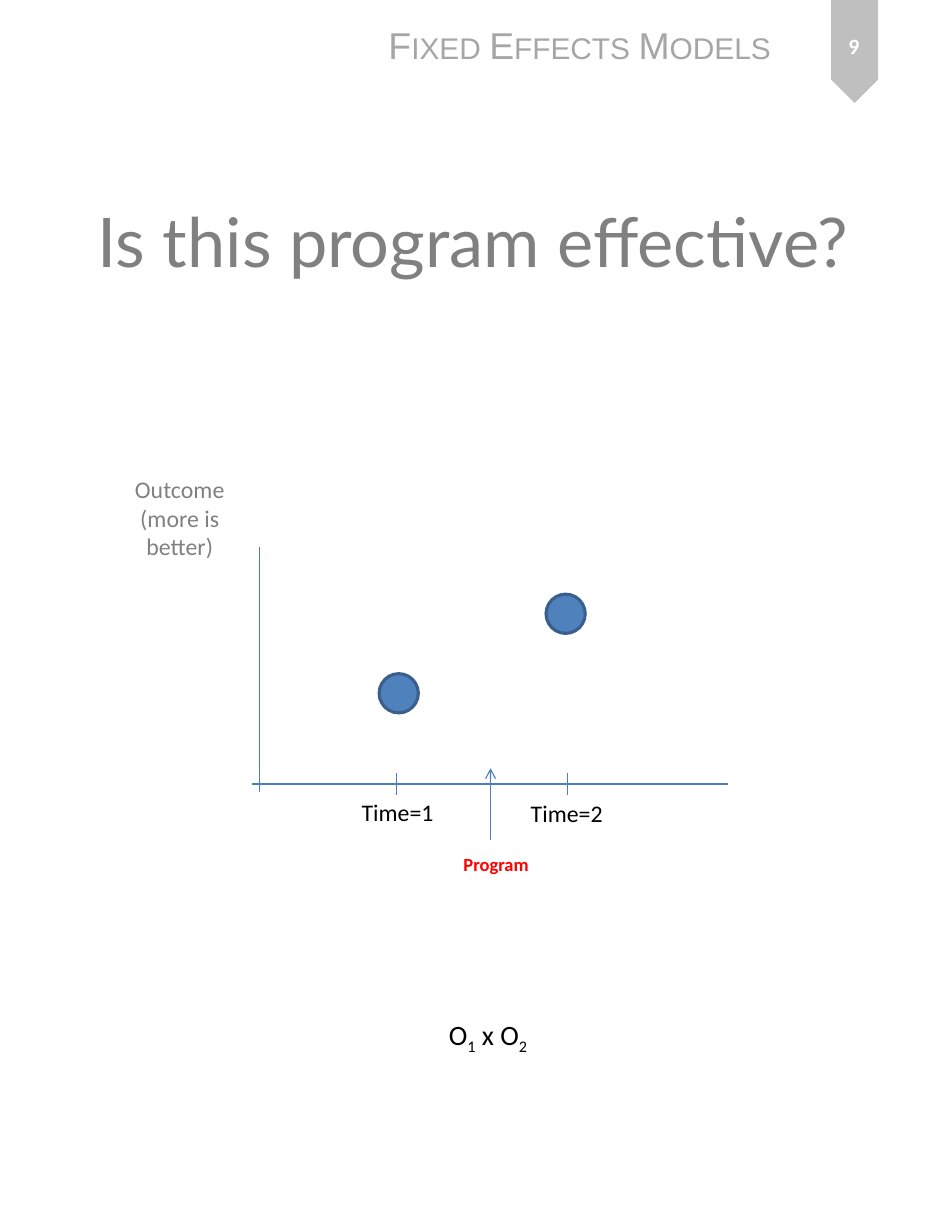
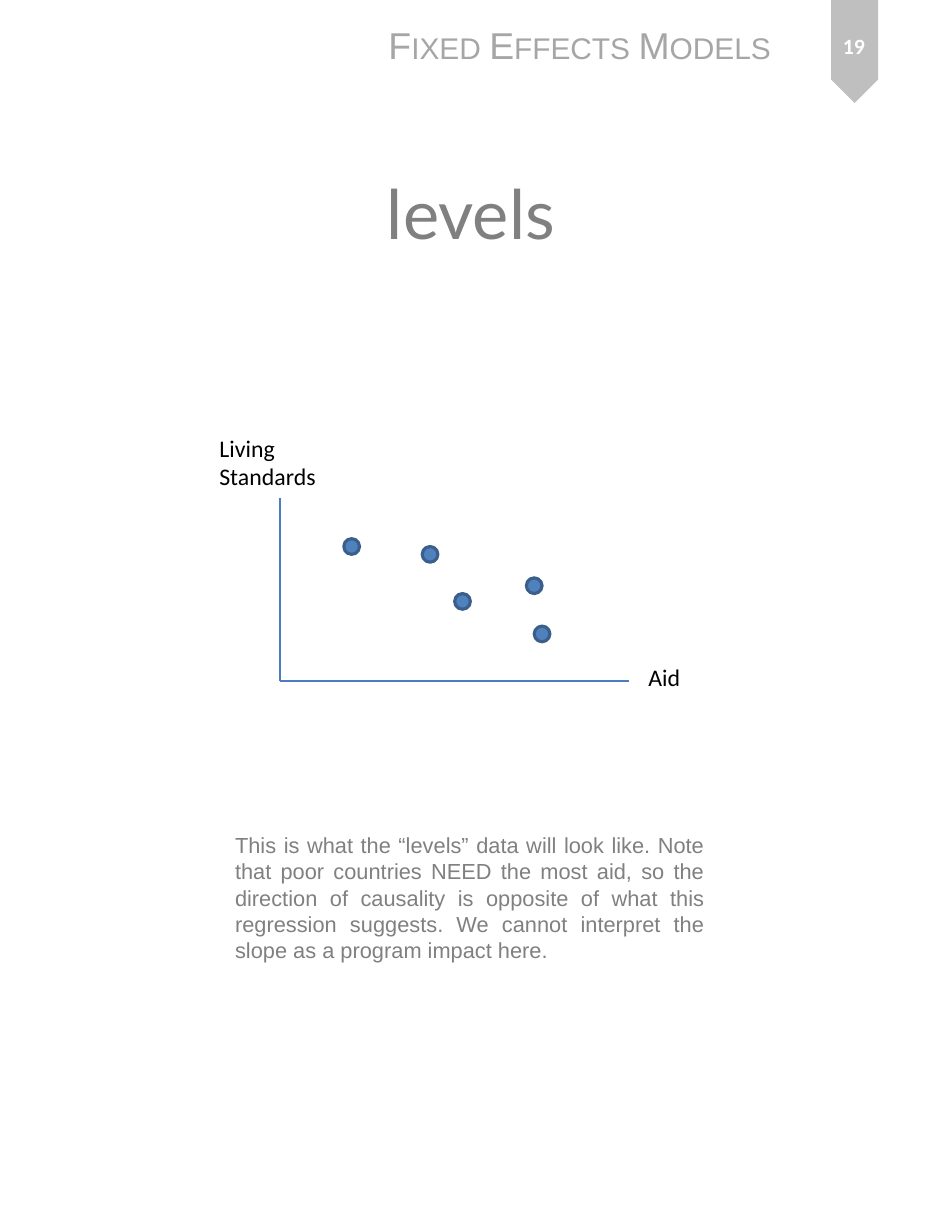
import pptx
import pptx.util
import pptx.dml.color
import pptx.enum.shapes
import pptx.enum.text
import pptx.oxml.ns
import lxml.etree

# Slide grid: one column or row is one inch
COLUMNS, ROWS = 8.5, 11
UNIT = pptx.util.Inches(1)

COLORS = {
    "ribbon": "BFBFBF", "header": "A6A6A6", "gray": "808080",
    "dot": "4F81BD", "dot edge": "3A5F8C", "axis": "4B7EBC",
    "black": "000000", "white": "FFFFFF", "red": "FF0000",
}

# Text styles: font, size, colour, bold
STYLES = {
    "header": ("Arial", 24, "header", False),
    "title": ("Lato", 44, "gray", False),
    "page": ("Calibri", 14, "white", True),
    "label": ("Calibri", 15.3, "black", False),
    "gray label": ("Calibri", 15.3, "gray", False),
    "program": ("Calibri", 11.9, "red", True),
    "design": ("Calibri", 18, "black", False),
    "note": ("Arial", 14, "gray", False),
}

HEADER = "Fixed Effects Models"
TITLE_SIZE = (7.65, 1.83)
LABEL_HEIGHT = 0.36
TICK = 0.1  # half the length of a time tick

# Labels: lines, style, alignment, left, top, width, height
# Lines: start, end, arrowhead; plot parts count from the origin, y upwards
SLIDES = [
    {
        "page": "9",
        "title": "Is this program effective?",
        "title at": (0.4, 1.23),
        "origin": (2.32, 7),
        "lines": [
            ((0, 2.12), (0, -0.07), False),
            ((-0.07, 0), (4.18, 0), False),
            ((1.22, TICK), (1.22, -TICK), False),
            ((2.75, TICK), (2.75, -TICK), False),
            ((2.06, -0.5), (2.06, 0.14), True),
        ],
        "dot size": 0.35,
        "dots": [(1.24, 0.81), (2.73, 1.52)],
        "labels": [
            (["Outcome", "(more is", "better)"], "gray label", "CENTER", 1.1, 4.19, 1.01, 0.87),
            (["Time=1"], "label", "LEFT", 3.13, 7.07, 0.85, LABEL_HEIGHT),
            (["Time=2"], "label", "LEFT", 4.64, 7.08, 0.85, LABEL_HEIGHT),
            (["Program"], "program", "LEFT", 4.04, 7.57, 0.8, 0.3),
        ],
        # Runs of the design notation, with True for a subscript
        "design": [("O", False), ("1", True), (" x O", False), ("2", True)],
    },
    {
        "page": "19",
        "title": "levels",
        "title at": (0.38, 0.98),
        "origin": (2.5, 6.08),
        "lines": [((0, 1.63), (0, 0), False), ((0, 0), (3.12, 0), False)],
        "dot size": 0.14,
        "dots": [(0.64, 1.2), (1.34, 1.13), (1.63, 0.71), (2.27, 0.85), (2.34, 0.42)],
        "labels": [
            (["Living", "Standards"], "label", "LEFT", 1.86, 3.82, 1.07, 0.62),
            (["Aid"], "label", "LEFT", 5.69, 5.87, 0.49, LABEL_HEIGHT),
        ],
        "note": "This is what the “levels” data will look like. Note that poor countries "
                "NEED the most aid, so the direction of causality is opposite of what this "
                "regression suggests. We cannot interpret the slope as a program impact here.",
    },
]


def grid(*values):
    return [round(value * UNIT) for value in values]


def color(name):
    return pptx.dml.color.RGBColor.from_string(COLORS[name])


def add_run(paragraph, text, style):
    run = paragraph.add_run()
    run.text = text
    name, size, tone, bold = STYLES[style]
    run.font.name, run.font.size, run.font.bold = name, pptx.util.Pt(size), bold
    run.font.color.rgb = color(tone)
    return run


def add_text(slide, lines, style, align, left, top, width, height, wrap=False, middle=False):
    frame = slide.shapes.add_textbox(*grid(left, top, width, height)).text_frame
    frame.word_wrap = wrap
    if middle:
        frame.vertical_anchor = pptx.enum.text.MSO_ANCHOR.MIDDLE
    paragraph = frame.paragraphs[0]
    paragraph.alignment = pptx.enum.text.PP_ALIGN[align]
    for index, line in enumerate(lines):
        if index:
            paragraph.add_line_break()
        add_run(paragraph, line, style)
    return paragraph


def add_shape(slide, kind, fill, left, top, width, height):
    shape = slide.shapes.add_shape(
        pptx.enum.shapes.MSO_SHAPE[kind], *grid(left, top, width, height))
    shape.shadow.inherit = False
    shape.fill.solid()
    shape.fill.fore_color.rgb = color(fill)
    return shape


def add_line(slide, start, end, arrow):
    line = slide.shapes.add_connector(
        pptx.enum.shapes.MSO_CONNECTOR.STRAIGHT, *grid(*start, *end))
    line.line.color.rgb = color("axis")
    line.line.width = pptx.util.Pt(0.75)
    qualified = pptx.oxml.ns.qn
    if arrow:
        lxml.etree.SubElement(line.line._get_or_add_ln(), qualified("a:tailEnd"), type="arrow")
    lxml.etree.SubElement(line._element.spPr, qualified("a:effectLst"))


def add_frame(slide, content):
    # Ribbon, running header, title and page number
    ribbon = add_shape(slide, "PENTAGON", "ribbon", 7.17, 0.25, 0.92, 0.42)
    ribbon.rotation = 90
    ribbon.line.fill.background()
    header = add_text(slide, [HEADER], "header", "LEFT", 3.37, 0.15, 3.68, 0.5)
    header.runs[0].font._element.set("cap", "small")
    add_text(slide, [content["title"]], "title", "CENTER",
             *content["title at"], *TITLE_SIZE, wrap=True, middle=True)
    add_text(slide, [content["page"]], "page", "CENTER",
             7.29, 0.11, 0.67, 0.59, wrap=True, middle=True)


def add_plot(slide, content):
    # Axes, ticks, arrow, dots and labels
    origin_x, origin_y = content["origin"]

    def locate(point):
        return origin_x + point[0], origin_y - point[1]

    size = content["dot size"]
    for center in content["dots"]:
        x, y = locate(center)
        dot = add_shape(slide, "OVAL", "dot", x - size / 2, y - size / 2, size, size)
        dot.line.color.rgb = color("dot edge")
        dot.line.width = pptx.util.Pt(2)
    for start, end, arrow in content["lines"]:
        add_line(slide, locate(start), locate(end), arrow)
    for label in content["labels"]:
        add_text(slide, *label)


def main():
    presentation = pptx.Presentation()
    presentation.slide_width, presentation.slide_height = grid(COLUMNS, ROWS)
    for content in SLIDES:
        slide = presentation.slides.add_slide(presentation.slide_layouts[6])
        add_frame(slide, content)
        add_plot(slide, content)
        # Text under the plot
        if "design" in content:
            paragraph = add_text(slide, [], "design", "LEFT", 3.91, 9.04, 0.93, 0.4)
            for text, subscript in content["design"]:
                run = add_run(paragraph, text, "design")
                if subscript:
                    run.font._element.set("baseline", "-25000")
        if "note" in content:
            add_text(slide, [content["note"]], "note", "JUSTIFY", 2, 7.38, 4.39, 1.28, wrap=True)
    presentation.save("out.pptx")


if __name__ == "__main__":
    main()
